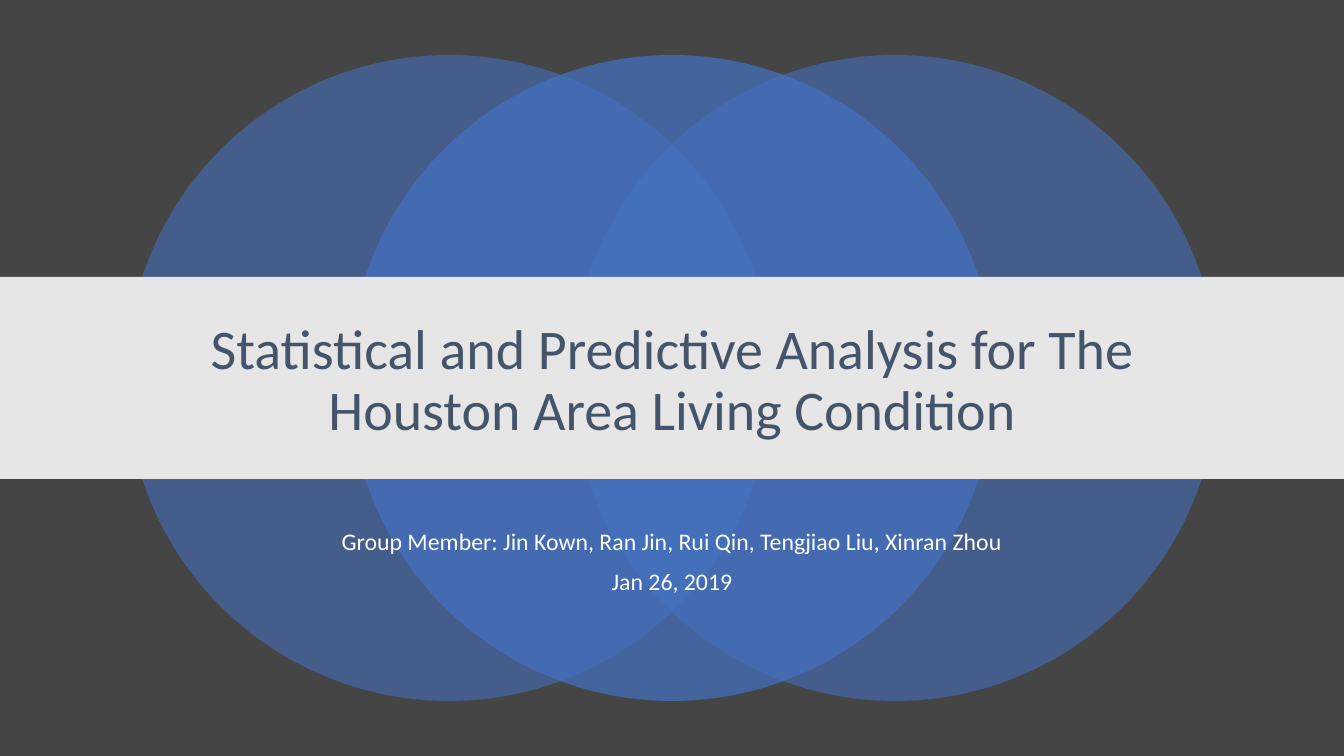
from lxml import etree
from pptx import Presentation
from pptx.dml.color import RGBColor
from pptx.enum.shapes import MSO_SHAPE
from pptx.enum.text import MSO_ANCHOR, PP_ALIGN
from pptx.oxml.ns import qn
from pptx.util import Emu, Pt

OVAL, RECTANGLE = MSO_SHAPE.OVAL, MSO_SHAPE.RECTANGLE
TOP, MIDDLE = MSO_ANCHOR.TOP, MSO_ANCHOR.MIDDLE
CENTER = PP_ALIGN.CENTER

EMU_PER_PIXEL = 914400 / 100.8
WIDTH, HEIGHT = 1344, 756
FONT = "Calibri"
BACKGROUND, BLUE, BAND = "454545", "4472C4", "E7E6E6"
TITLE_COLOR, WHITE = "44546A", "FFFFFF"

TITLE = "Statistical and Predictive Analysis for The Houston Area Living Condition"
SUBTITLE = [
    "Group Member: Jin Kown, Ran Jin, Rui Qin, Tengjiao Liu, Xinran Zhou",
    "Jan 26, 2019",
]


def px(pixels):
    return Emu(round(pixels * EMU_PER_PIXEL))


def color(value):
    return RGBColor.from_string(value)


def add_filled_shape(slide, kind, box, fill, opacity=100):
    shape = slide.shapes.add_shape(kind, *map(px, box))
    shape.shadow.inherit = False
    shape.line.fill.background()
    shape.fill.solid()
    shape.fill.fore_color.rgb = color(fill)
    if opacity < 100:
        fill_color = shape.fill._xPr.find(qn("a:solidFill"))[0]
        etree.SubElement(fill_color, qn("a:alpha"), val=str(opacity * 1000))


def add_centered_text(slide, box, lines, size, text_color, anchor):
    frame = slide.shapes.add_textbox(*map(px, box)).text_frame
    frame.word_wrap = True
    frame.vertical_anchor = anchor
    frame.text = "\n".join(lines)
    for paragraph in frame.paragraphs:
        paragraph.alignment = CENTER
        paragraph.line_spacing = 0.9
        paragraph.font.name = FONT
        paragraph.font.size = Pt(size)
        paragraph.font.color.rgb = color(text_color)
    for paragraph in frame.paragraphs[1:]:
        paragraph.space_before = Pt(10)


def add_circles(slide):
    diameter, offset = 646, 223
    middle_left = (WIDTH - diameter) / 2
    top = (HEIGHT - diameter) / 2
    # Side circles first, the stronger middle one over them
    for step, opacity in ((-1, 55), (1, 55), (0, 70)):
        box = (middle_left + step * offset, top, diameter, diameter)
        add_filled_shape(slide, OVAL, box, BLUE, opacity)


def main():
    presentation = Presentation()
    presentation.slide_width, presentation.slide_height = px(WIDTH), px(HEIGHT)
    slide = presentation.slides.add_slide(presentation.slide_layouts[6])
    slide.background.fill.solid()
    slide.background.fill.fore_color.rgb = color(BACKGROUND)

    # Overlapping circles
    add_circles(slide)

    # Authors and date
    add_centered_text(slide, (168, 525, 1008, 79), SUBTITLE, 17, WHITE, TOP)

    # Title on its band
    add_filled_shape(slide, RECTANGLE, (0, 277, WIDTH, 202), BAND)
    add_centered_text(slide, (168, 306, 1008, 152), [TITLE], 40, TITLE_COLOR, MIDDLE)

    presentation.save("out.pptx")


main()
